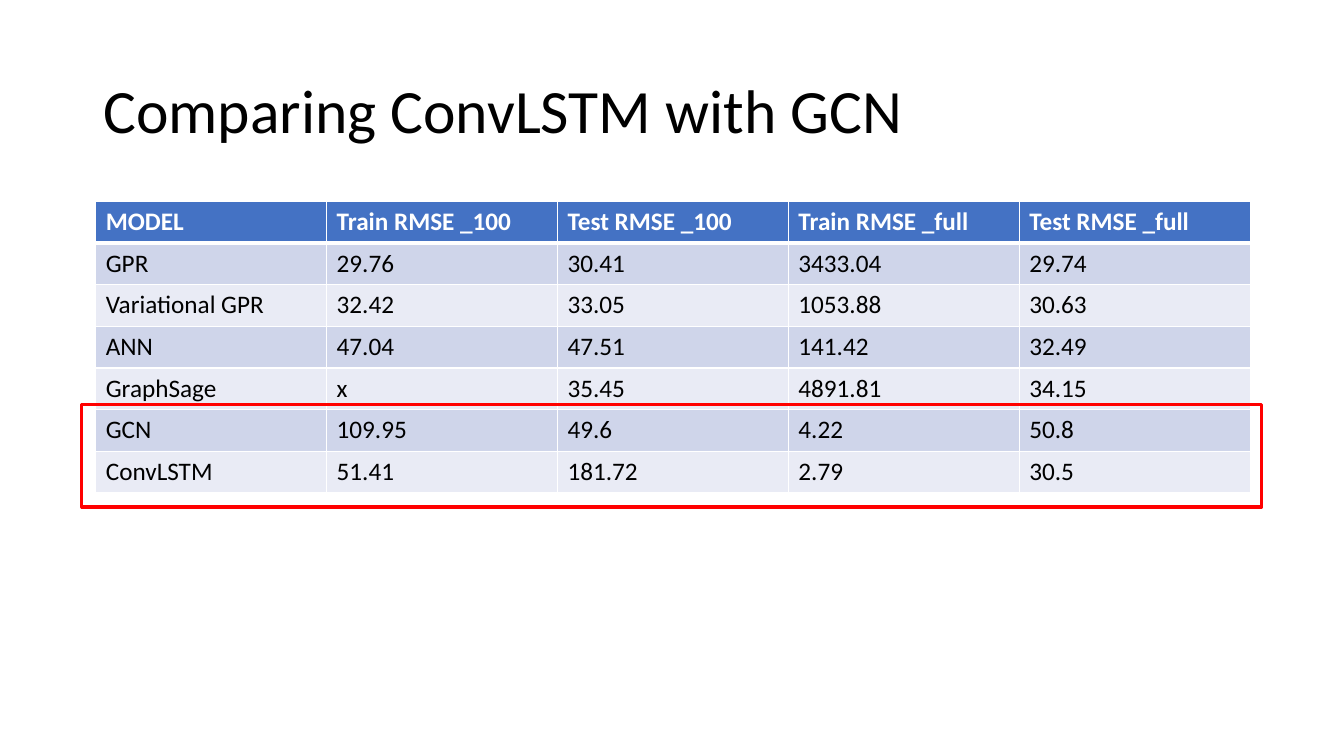
from dataclasses import dataclass

import pptx
import pptx.dml.color
import pptx.enum.shapes
import pptx.enum.text
import pptx.oxml
import pptx.oxml.ns
import pptx.util

COLOURS = {
    "text": "000000",
    "header": "4472C4",
    "odd row": "CFD5EA",
    "even row": "E9EBF5",
    "white": "FFFFFF",
    "highlight": "FF0000",
}
FONT = "Calibri"
SLIDE_WIDTH, SLIDE_HEIGHT = 13.33, 7.5

# Grid origin and cell size in inches; the grid is that of the results table.
GRID_LEFT, GRID_TOP = 0.95, 2.0
COLUMN, ROW = 2.29, 2.89 / 7

RESULTS = [
    ("MODEL", "Train RMSE _100", "Test RMSE _100", "Train RMSE _full", "Test RMSE _full"),
    ("GPR", "29.76", "30.41", "3433.04", "29.74"),
    ("Variational GPR", "32.42", "33.05", "1053.88", "30.63"),
    ("ANN", "47.04", "47.51", "141.42", "32.49"),
    ("GraphSage", "x", "35.45", "4891.81", "34.15"),
    ("GCN", "109.95", "49.6", "4.22", "50.8"),
    ("ConvLSTM", "51.41", "181.72", "2.79", "30.5"),
]


@dataclass(frozen=True)
class Area:
    """A rectangle in columns and rows of the grid."""
    column: float
    row: float
    columns: float
    rows: float

    def place(self) -> tuple:
        return tuple(map(pptx.util.Inches, (
            GRID_LEFT + self.column * COLUMN, GRID_TOP + self.row * ROW,
            self.columns * COLUMN, self.rows * ROW)))


@dataclass(frozen=True)
class RowStyle:
    fill: str
    text: str
    bold: bool
    top: float
    bottom: float


TITLE = Area(-0.01, -3.87, 5.02, 3.51)
TABLE = Area(0, 0, len(RESULTS[0]), len(RESULTS))
COMPARED_MODELS = Area(-0.06, 4.87, 5.11, 2.47)

HEADER = RowStyle("header", "white", True, 1, 3)
FIRST_MODEL = RowStyle("odd row", "text", False, 3, 1)
ODD_MODEL = RowStyle("odd row", "text", False, 1, 1)
EVEN_MODEL = RowStyle("even row", "text", False, 1, 1)


def colour(name: str) -> pptx.dml.color.RGBColor:
    return pptx.dml.color.RGBColor.from_string(COLOURS[name])


def write(frame, text: str, size: float, text_colour: str, bold: bool = False) -> None:
    run = frame.paragraphs[0].add_run()
    run.text = text
    font_format = {"name": FONT, "size": pptx.util.Pt(size), "bold": bold}
    for attribute, value in font_format.items():
        setattr(run.font, attribute, value)
    run.font.color.rgb = colour(text_colour)


def add_borders(cell, style: RowStyle) -> None:
    """Draw white cell borders, which must precede the fill in the XML."""
    widths = {"lnL": 1, "lnR": 1, "lnT": style.top, "lnB": style.bottom}
    properties = cell._tc.get_or_add_tcPr()
    for position, (side, width) in enumerate(widths.items()):
        properties.insert(position, pptx.oxml.parse_xml(
            f'<a:{side} {pptx.oxml.ns.nsdecls("a")} w="{pptx.util.Pt(width)}">'
            f'<a:solidFill><a:srgbClr val="{COLOURS["white"]}"/></a:solidFill></a:{side}>'))


def row_style(index: int) -> RowStyle:
    if index < 2:
        return (HEADER, FIRST_MODEL)[index]
    return ODD_MODEL if index % 2 else EVEN_MODEL


def add_title(slide) -> None:
    frame = slide.shapes.add_textbox(*TITLE.place()).text_frame
    frame_format = {"word_wrap": True,
                    "vertical_anchor": pptx.enum.text.MSO_ANCHOR.MIDDLE}
    for attribute, value in frame_format.items():
        setattr(frame, attribute, value)
    frame.paragraphs[0].line_spacing = 0.9
    write(frame, "Comparing ConvLSTM with GCN", 44, "text")


def add_results(slide) -> None:
    results = slide.shapes.add_table(TABLE.rows, TABLE.columns, *TABLE.place()).table
    for row_index, values in enumerate(RESULTS):
        style = row_style(row_index)
        for column_index, value in enumerate(values):
            cell = results.cell(row_index, column_index)
            cell.fill.solid()
            cell.fill.fore_color.rgb = colour(style.fill)
            add_borders(cell, style)
            write(cell.text_frame, value, 18, style.text, style.bold)


def add_highlight(slide) -> None:
    highlight = slide.shapes.add_shape(
        pptx.enum.shapes.MSO_SHAPE.RECTANGLE, *COMPARED_MODELS.place())
    highlight.shadow.inherit = False
    highlight.fill.background()
    highlight.line.color.rgb = colour("highlight")
    highlight.line.width = pptx.util.Pt(2.25)


def main() -> None:
    presentation = pptx.Presentation()
    presentation.slide_width = pptx.util.Inches(SLIDE_WIDTH)
    presentation.slide_height = pptx.util.Inches(SLIDE_HEIGHT)
    slide = presentation.slides.add_slide(presentation.slide_layouts[6])
    slide.background.fill.solid()
    slide.background.fill.fore_color.rgb = colour("white")
    add_title(slide)
    add_results(slide)
    add_highlight(slide)
    presentation.save("out.pptx")


if __name__ == "__main__":
    main()
